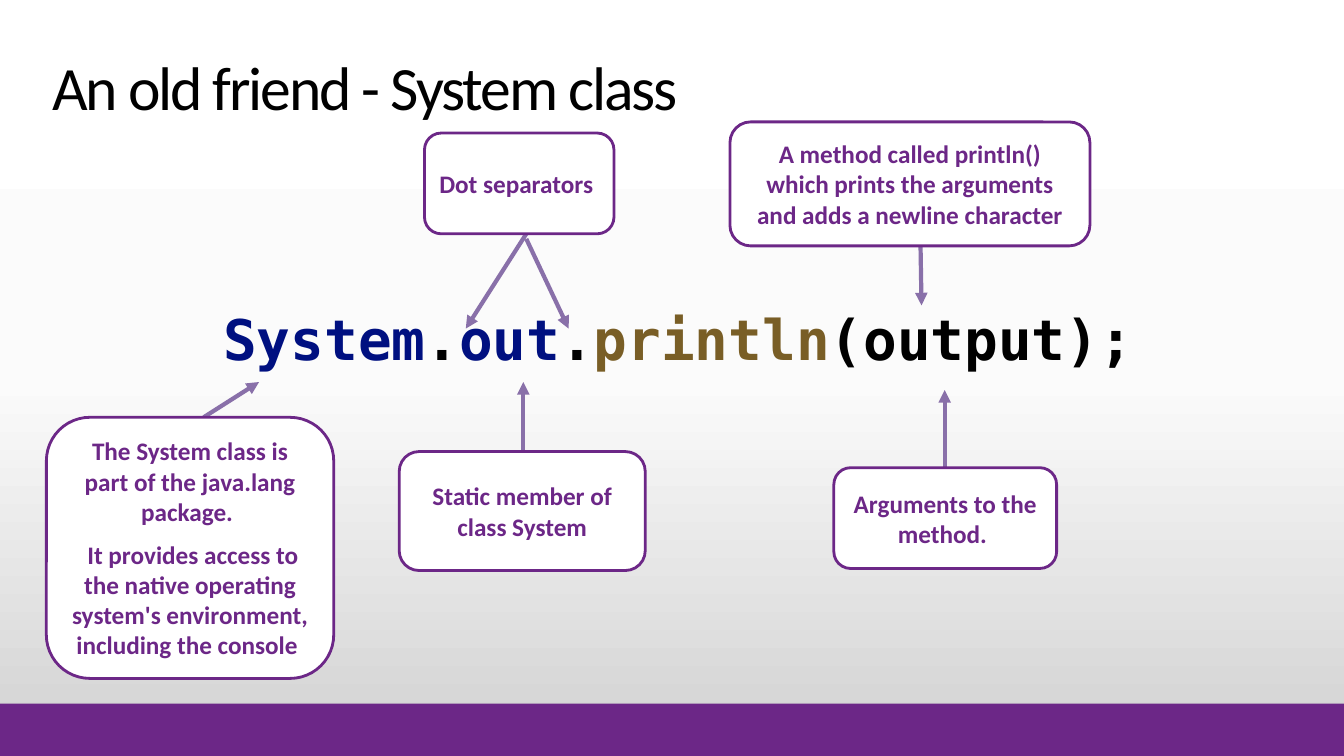
from lxml.etree import SubElement
from pptx import Presentation
from pptx.dml.color import RGBColor
from pptx.enum.shapes import MSO_CONNECTOR, MSO_SHAPE
from pptx.enum.text import MSO_ANCHOR, MSO_AUTO_SIZE, PP_ALIGN
from pptx.oxml.ns import qn
from pptx.util import Inches, Pt

PURPLE = RGBColor(0x6C, 0x27, 0x87)
LILAC = RGBColor(0x89, 0x70, 0xA9)
WHITE = RGBColor(0xFF, 0xFF, 0xFF)
BLACK = RGBColor(0x00, 0x00, 0x00)
NAVY = RGBColor(0x00, 0x10, 0x80)
BROWN = RGBColor(0x79, 0x5E, 0x26)
PALE = RGBColor(0xFB, 0xFB, 0xFB)
GREY = RGBColor(0xD1, 0xD1, 0xD1)

STATEMENT = [("System", NAVY), (".", BLACK), ("out", NAVY), (".", BLACK),
             ("println", BROWN), ("(output);", BLACK)]

# Each callout: box, paragraphs, alignment, arrows as (start, end)
CALLOUTS = [
    ((0.46, 4.14, 2.85, 2.59),
     ["The System class is part of the java.lang package. ",
      " It provides access to the native operating system's environment, "
      "including the console "],
     PP_ALIGN.CENTER, [((2.02, 4.14), (2.57, 3.79))]),
    ((4.21, 1.32, 1.88, 1), ["Dot separators"], PP_ALIGN.LEFT,
     [((5.22, 2.32), (4.62, 3.26)), ((5.22, 2.37), (5.64, 3.26))]),
    ((7.24, 1.21, 3.57, 1.23),
     ["A method called println() which prints the arguments "
      "and adds a newline character"],
     PP_ALIGN.CENTER, [((9.13, 2.44), (9.14, 3.03))]),
    ((3.96, 4.48, 2.44, 1.18), ["Static member of class System"],
     PP_ALIGN.CENTER, [((5.19, 4.48), (5.19, 3.79))]),
    ((8.27, 4.64, 2.21, 1), ["Arguments to the method. "],
     PP_ALIGN.CENTER, [((9.37, 4.64), (9.37, 3.87))]),
]


def inches(values):
    return [Inches(value) for value in values]


def paint_background(slide):
    fill = slide.background.fill
    fill.gradient()
    fill.gradient_angle = 270
    # Three stops from white down to grey
    stops = fill._fill._gradFill.find(qn("a:gsLst"))
    for stop in list(stops):
        stops.remove(stop)
    for percent, color in [(0, WHITE), (50, PALE), (100, GREY)]:
        stop = SubElement(stops, qn("a:gs"), pos=str(percent * 1000))
        SubElement(stop, qn("a:srgbClr"), val=str(color))


def add_footer_band(slide, box):
    band = slide.shapes.add_shape(MSO_SHAPE.RECTANGLE, *inches(box))
    band.shadow.inherit = False
    band.fill.solid()
    band.fill.fore_color.rgb = PURPLE
    band.line.fill.background()


def place_title(slide, box, text):
    title = slide.shapes.title
    title.left, title.top, title.width, title.height = inches(box)
    frame = title.text_frame
    frame.text = text
    frame.auto_size = MSO_AUTO_SIZE.NONE
    frame.vertical_anchor = MSO_ANCHOR.BOTTOM
    heading = frame.paragraphs[0]
    heading.alignment = PP_ALIGN.LEFT
    heading.font.name = "Calibri"
    heading.font.size = Pt(44)
    heading.font.color.rgb = BLACK
    # Tightened letter spacing
    heading.runs[0].font._element.set("spc", "-150")


def add_statement(slide, box, tokens):
    frame = slide.shapes.add_textbox(*inches(box)).text_frame
    frame.word_wrap = True
    statement = frame.paragraphs[0]
    statement.alignment = PP_ALIGN.CENTER
    statement.font.name = "DejaVu Sans Mono"
    statement.font.size = Pt(40)
    statement.font.bold = True
    for text, color in tokens:
        token = statement.add_run()
        token.text = text
        token.font.color.rgb = color


def add_arrow(slide, start, end):
    arrow = slide.shapes.add_connector(MSO_CONNECTOR.STRAIGHT,
                                       *inches(start + end))
    arrow.line.color.rgb = LILAC
    arrow.line.width = Pt(3)
    SubElement(arrow.line._get_or_add_ln(), qn("a:tailEnd"), type="triangle")
    SubElement(arrow._element.spPr, qn("a:effectLst"))


def add_callout(slide, box, texts, alignment, arrows):
    for start, end in arrows:
        add_arrow(slide, start, end)
    callout = slide.shapes.add_shape(MSO_SHAPE.ROUNDED_RECTANGLE, *inches(box))
    callout.shadow.inherit = False
    callout.fill.solid()
    callout.fill.fore_color.rgb = WHITE
    callout.line.color.rgb = PURPLE
    callout.line.width = Pt(2)
    frame = callout.text_frame
    frame.word_wrap = True
    frame.vertical_anchor = MSO_ANCHOR.MIDDLE
    frame.text = "\n".join(texts)
    for index, paragraph in enumerate(frame.paragraphs):
        paragraph.alignment = alignment
        if index:
            paragraph.space_before = Pt(9)
        paragraph.font.name = "Calibri"
        paragraph.font.size = Pt(18)
        paragraph.font.bold = True
        paragraph.font.color.rgb = PURPLE


def main():
    deck = Presentation()
    deck.slide_width, deck.slide_height = Inches(13.33), Inches(7.5)
    slide = deck.slides.add_slide(deck.slide_layouts[5])
    paint_background(slide)
    add_footer_band(slide, (0, 6.98, 13.33, 0.52))
    place_title(slide, (0.42, 0.4, 10.4, 0.87), "An old friend - System class")
    add_statement(slide, (0.42, 2.97, 12.61, 0.77), STATEMENT)
    for callout in CALLOUTS:
        add_callout(slide, *callout)
    deck.save("out.pptx")


if __name__ == "__main__":
    main()
